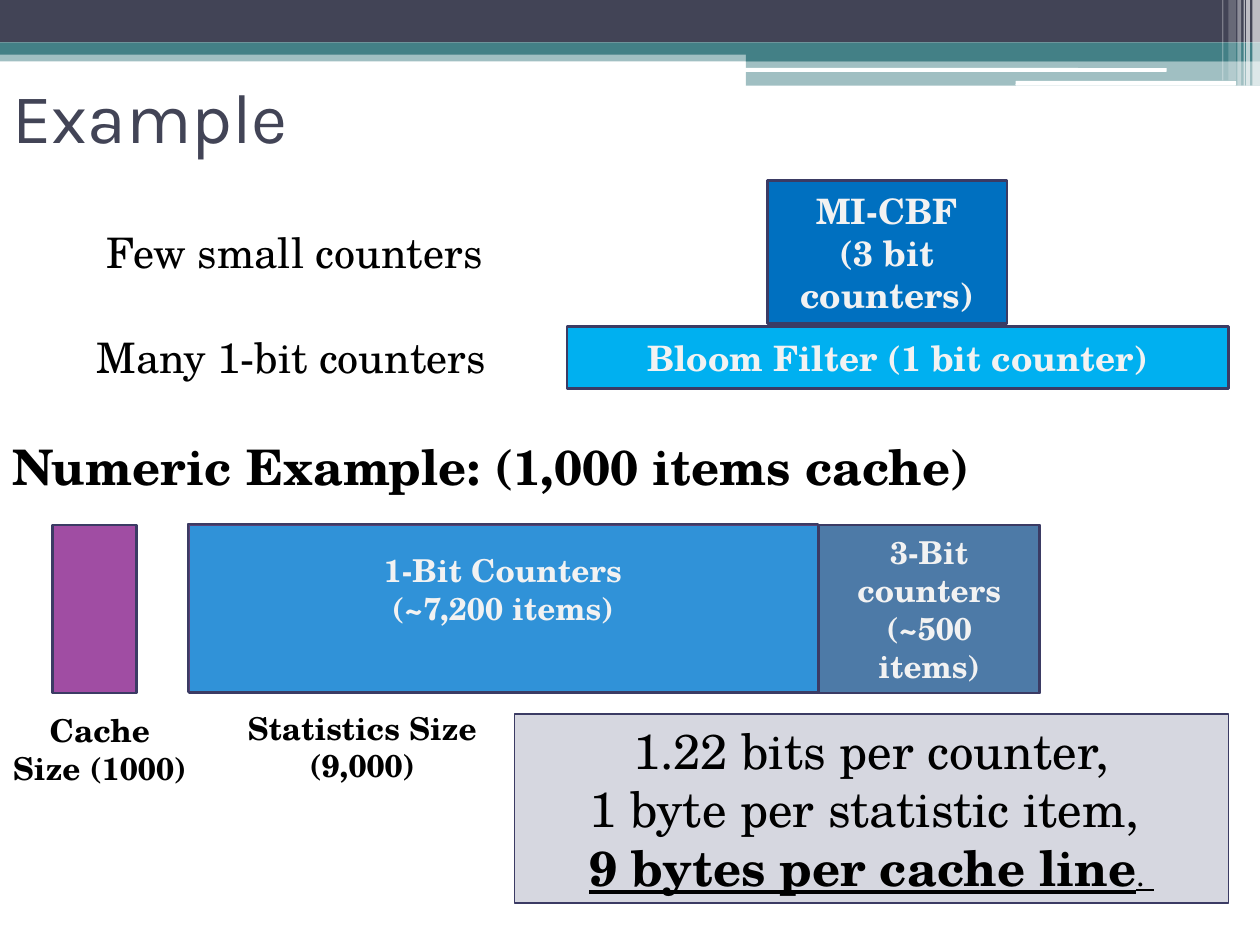
"""Build the slide that sizes a counting filter for a small cache."""
from dataclasses import dataclass

from lxml import etree
from pptx import Presentation
from pptx import util as u
from pptx.dml.color import RGBColor
from pptx.enum import shapes, text
from pptx.oxml.ns import qn

WIDTH, HEIGHT = u.Inches(10), u.Inches(7.5)
CELL = WIDTH / 120


@dataclass(frozen=True)
class Theme:
    """Colours, fonts and type sizes of the slide."""
    navy: str = "424456"
    teal: str = "438086"
    outline: str = "3B3B64"
    white: str = "FFFFFF"
    pale: str = "F2F2F2"
    black: str = "000000"
    sky: str = "00B0F0"
    blue: str = "0070C0"
    purple: str = "A04DA3"
    red: str = "FF0000"
    panel: str = "D6D7E0"
    heading_font: str = "Karla"
    body_font: str = "TeX Gyre Schola"
    title: int = 40
    large: int = 28
    medium: int = 24
    label: int = 20
    small: int = 18


THEME = Theme()


def grid(column, row, columns, rows):
    """Turn grid cells into a left, top, width and height."""
    return [u.Emu(round(n * CELL)) for n in (column, row, columns, rows)]


def share(left, top, width, height):
    """Turn percentages of the slide into a left, top, width and height."""
    return [u.Emu(round(n * side / 100)) for n, side in
            zip((left, top, width, height), (WIDTH, HEIGHT, WIDTH, HEIGHT))]


def write(frame, paragraphs, *, size, font=THEME.body_font, color=THEME.black,
          bold=False, align=text.PP_ALIGN.LEFT, anchor=text.MSO_ANCHOR.TOP, bottom=0.05):
    """Fill a text frame with paragraphs of (words, changes) runs."""
    frame.word_wrap = True
    frame.vertical_anchor = anchor
    frame.margin_left = frame.margin_right = u.Inches(0.1)
    frame.margin_top, frame.margin_bottom = u.Inches(0.05), u.Inches(bottom)
    for index, runs in enumerate(paragraphs):
        paragraph = frame.paragraphs[0] if index == 0 else frame.add_paragraph()
        paragraph.alignment = align
        for words, changes in ([(runs, {})] if isinstance(runs, str) else runs):
            run = paragraph.add_run()
            run.text = words
            run.font.name = font
            run.font.size = u.Pt(changes.get("size", size))
            run.font.bold = changes.get("bold", bold)
            run.font.underline = changes.get("underline", False)
            run.font.color.rgb = RGBColor.from_string(color)


def add_box(slide, place, fill, *, opacity=100, line=1.5, rounded=False):
    """Add a filled box, outlined unless the line width is zero."""
    kind = shapes.MSO_SHAPE.ROUNDED_RECTANGLE if rounded else shapes.MSO_SHAPE.RECTANGLE
    box = slide.shapes.add_shape(kind, *place)
    box.shadow.inherit = False
    box.fill.solid()
    box.fill.fore_color.rgb = RGBColor.from_string(fill)
    if opacity < 100:
        tint = box.fill._xPr.find(".//" + qn("a:srgbClr"))
        etree.SubElement(tint, qn("a:alpha")).set("val", str(opacity * 1000))
    if line:
        box.line.color.rgb = RGBColor.from_string(THEME.outline)
        box.line.width = u.Pt(line)
    else:
        box.line.fill.background()
    return box


def add_block(slide, place, fill, paragraphs, *, size=THEME.small, bottom=0.05, **look):
    """Add a box with a bold pale caption in its middle."""
    block = add_box(slide, place, fill, **look)
    write(block.text_frame, paragraphs, size=size, color=THEME.pale, bold=True,
          align=text.PP_ALIGN.CENTER, anchor=text.MSO_ANCHOR.MIDDLE, bottom=bottom)


def add_label(slide, place, words, **look):
    """Add a line of free text."""
    write(slide.shapes.add_textbox(*place).text_frame, [words], **look)


def add_banner(slide):
    """Draw the bands and thin stripes along the top edge."""
    for place, fill, opacity in [
        ((0, 5.3, 100, 1.2), THEME.teal, 50),
        ((0, 0, 100, 4.5), THEME.navy, 100),
        ((0, 4.5, 100, 1.3), THEME.teal, 100),
        ((59.2, 5.2, 40.8, 1.3), THEME.teal, 100),
        ((59.2, 6.4, 40.8, 2.67), THEME.teal, 50),
    ]:
        add_box(slide, share(*place), fill, opacity=opacity, line=0)
    for place in [(59.1, 7.2, 33.5, 0.4), (80.6, 8.55, 17.5, 0.5)]:
        add_box(slide, share(*place), THEME.white, line=0, rounded=True)
    for left, width, height, opacity in [
        (99.4, 0.6, 9.07, 65), (98.9, 0.3, 9.07, 65), (98.7, 0.1, 9.07, 60),
        (98.2, 0.3, 9.07, 40), (97.5, 0.6, 8.5, 20), (97, 0.1, 8.5, 30),
    ]:
        add_box(slide, share(left, 0, width, height), THEME.white, opacity=opacity, line=0)


def add_title(slide, words):
    """Place the title in its placeholder."""
    title = slide.shapes.title
    title.left, title.top, title.width, title.height = grid(0, 4, 108, 14)
    write(title.text_frame, [words], size=THEME.title, font=THEME.heading_font,
          color=THEME.navy, anchor=text.MSO_ANCHOR.MIDDLE)


def add_filters(slide):
    """Show the small filter stacked on the wide one."""
    add_block(slide, grid(54, 31.1, 63, 5.9), THEME.sky,
              ["Bloom Filter (1 bit counter)"], size=THEME.label)
    add_block(slide, grid(73.1, 17.2, 22.8, 13.6), THEME.blue,
              ["MI-CBF", "(3 bit counters)"], size=THEME.label)
    add_label(slide, grid(8, 31, 44, 6), "Many 1-bit counters", size=THEME.medium)
    add_label(slide, grid(9, 21, 59, 6), "Few small counters", size=THEME.medium)


def add_numbers(slide):
    """Compare the cache with the size of its statistics."""
    add_label(slide, grid(0, 41, 116, 7), "Numeric Example: (1,000 items cache)",
              size=THEME.large, bold=True)
    for column, columns, fill in [(5, 8, THEME.purple), (18, 60, THEME.sky),
                                  (78, 21, THEME.sky)]:
        add_box(slide, grid(column, 50, columns, 16), fill)
    add_block(slide, grid(17.9, 49.9, 60, 16), THEME.purple,
              ["1-Bit Counters", "(~7,200 items)"], opacity=30, bottom=0.35)
    add_block(slide, grid(78, 50, 21, 16), THEME.red,
              ["3-Bit counters (~500 items)"], opacity=30)
    for place, words in [((0, 67.1, 19, 8.4), "Cache Size (1000)"),
                         ((22, 66.9, 25, 8.4), "Statistics Size (9,000)")]:
        add_label(slide, grid(*place), words, size=THEME.small, bold=True,
                  align=text.PP_ALIGN.CENTER)


def add_summary(slide):
    """State the resulting cost in a panel."""
    panel = add_box(slide, grid(49, 68, 68, 18), THEME.panel, line=0.75)
    cost = [("9 bytes per cache line", {"bold": True, "underline": True}),
            (". ", {"size": THEME.small, "underline": True})]
    write(panel.text_frame, ["1.22 bits per counter,", "1 byte per statistic item, ", cost],
          size=THEME.large, align=text.PP_ALIGN.CENTER)


def main():
    """Build and save the slide."""
    deck = Presentation()
    deck.slide_width, deck.slide_height = WIDTH, HEIGHT
    slide = deck.slides.add_slide(deck.slide_layouts.get_by_name("Title Only"))
    add_banner(slide)
    add_title(slide, "Example")
    add_filters(slide)
    add_numbers(slide)
    add_summary(slide)
    deck.save("out.pptx")


if __name__ == "__main__":
    main()
